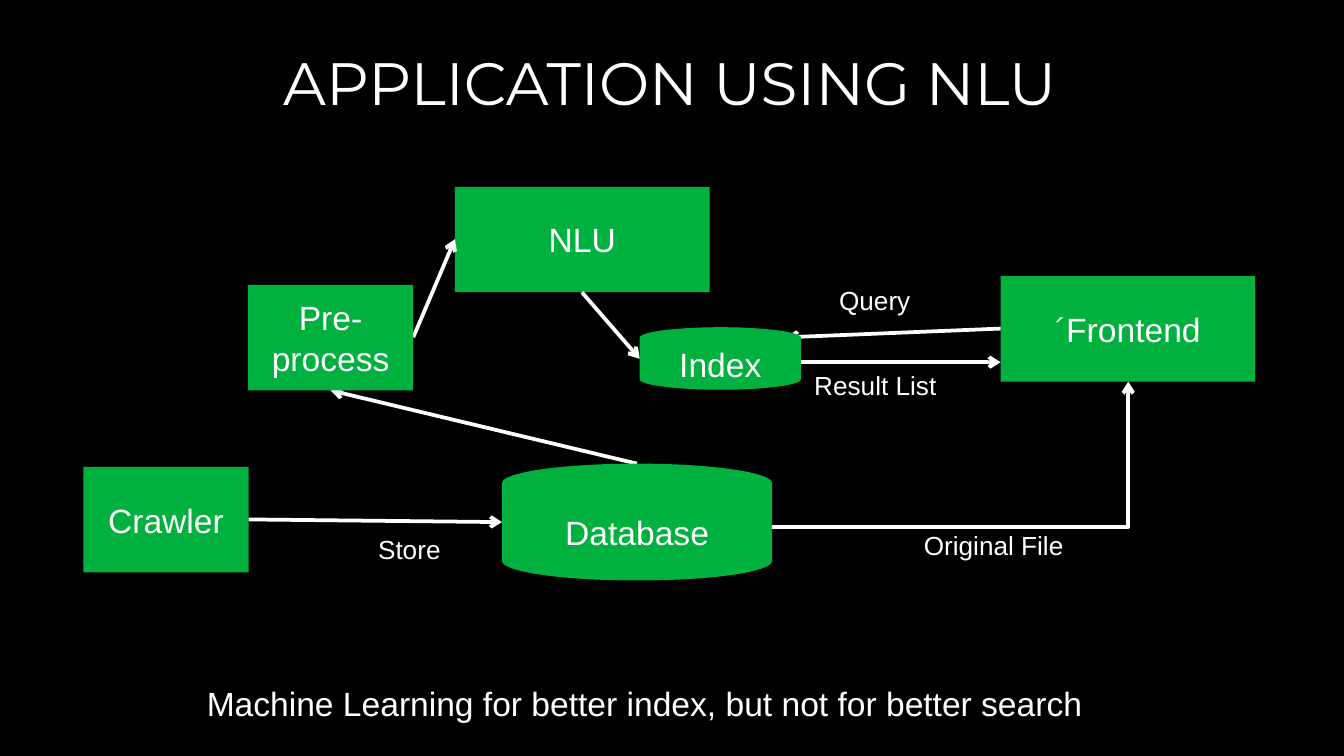
from lxml import etree
from pptx import Presentation
from pptx import util as u
from pptx.dml.color import RGBColor
from pptx.enum import shapes, text
from pptx.oxml.ns import qn

PX = 4572
BLACK = RGBColor(0x00, 0x00, 0x00)
WHITE = RGBColor(0xFF, 0xFF, 0xFF)
GREEN = RGBColor(0x00, 0xB1, 0x3F)

RECTANGLE = shapes.MSO_SHAPE.RECTANGLE
DISK = shapes.MSO_SHAPE.FLOWCHART_MAGNETIC_DISK
STRAIGHT = shapes.MSO_CONNECTOR.STRAIGHT
ELBOW = shapes.MSO_CONNECTOR.ELBOW

BACK_NODES = [
    ("Crawler", RECTANGLE, (0, 417, 246, 157)),
    ("NLU", RECTANGLE, (553, 0, 379, 157)),
    ("´Frontend", RECTANGLE, (1365, 133, 379, 157)),
]
FRONT_NODES = [
    ("Database", DISK, (623, 412, 402, 174)),
    ("Index", DISK, (828, 209, 240, 93)),
    ("Pre-process", RECTANGLE, (245, 146, 246, 157)),
]
ARROWS = [
    (STRAIGHT, (246, 495), (623, 499)),
    (STRAIGHT, (824, 412), (368, 303)),
    (STRAIGHT, (491, 224), (553, 78)),
    (STRAIGHT, (742, 157), (828, 256)),
    (STRAIGHT, (1365, 211), (1046, 224)),
    (STRAIGHT, (1002, 261), (1365, 261)),
    (ELBOW, (1025, 506), (1555, 290)),
]
LABELS = [
    ("Store", (419, 506, 134, 68)),
    ("Query", (1105, 136, 146, 68)),
    ("Result List", (1068, 262, 232, 68)),
    ("Original File", (1231, 500, 324, 68)),
]


def to_emu(box, origin=(0, 0)):
    """Turn a px box, relative to an origin, into EMU lengths."""
    left, top, width, height = box
    return [value * PX for value in (left + origin[0], top + origin[1], width, height)]


def write(shape, wording, size, font="Arial"):
    """Set the text of a shape in white and return its paragraph."""
    shape.text_frame.text = wording
    paragraph = shape.text_frame.paragraphs[0]
    for run in paragraph.runs:
        run.font.size = u.Pt(size)
        run.font.name = font
        run.font.color.rgb = WHITE
    return paragraph


def add_text(slide, wording, box, size, wrap=True, font="Arial"):
    """Add a text box and return it."""
    shape = slide.shapes.add_textbox(*to_emu(box))
    write(shape, wording, size, font)
    shape.text_frame.word_wrap = wrap
    return shape


def add_node(slide, origin, wording, kind, box):
    """Add a green block with centred text."""
    shape = slide.shapes.add_shape(kind, *to_emu(box, origin))
    shape.shadow.inherit = False
    shape.fill.solid()
    shape.fill.fore_color.rgb = GREEN
    shape.line.fill.background()
    shape.text_frame.vertical_anchor = text.MSO_ANCHOR.MIDDLE
    write(shape, wording, 18).alignment = text.PP_ALIGN.CENTER


def add_arrow(slide, origin, kind, start, end):
    """Add a white arrow, straight or with a single bend."""
    points = [(x + origin[0], y + origin[1]) for x, y in (start, end)]
    arrow = slide.shapes.add_connector(kind, *[value * PX for point in points for value in point])
    arrow.line.color.rgb = WHITE
    arrow.line.width = u.Pt(2)
    properties = arrow._element.spPr
    etree.SubElement(properties.find(qn("a:ln")), qn("a:tailEnd"), type="arrow")
    etree.SubElement(properties, qn("a:effectLst"))
    if kind == ELBOW:
        properties.find(qn("a:prstGeom")).set("prst", "bentConnector2")


def add_title(slide, box):
    """Add the centred slide title."""
    shape = add_text(slide, "APPLICATION USING NLU", box, 32, font="Montserrat")
    frame = shape.text_frame
    frame.margin_left = frame.margin_right = frame.margin_top = frame.margin_bottom = 0
    paragraph = frame.paragraphs[0]
    paragraph.alignment = text.PP_ALIGN.CENTER
    paragraph.line_spacing = 0.8


def add_diagram(slide, origin):
    """Add the data flow from crawler to frontend."""
    for node in BACK_NODES:
        add_node(slide, origin, *node)
    for arrow in ARROWS:
        add_arrow(slide, origin, *arrow)
    for node in FRONT_NODES:
        add_node(slide, origin, *node)
    for wording, (left, top, width, height) in LABELS:
        add_text(slide, wording, (left + origin[0], top + origin[1], width, height), 14)


def add_conclusion(slide, box):
    """Add the closing sentence."""
    add_text(slide, "Machine Learning for better index, but not for better search", box, 18, wrap=False)


def main():
    """Build and save the presentation."""
    presentation = Presentation()
    presentation.slide_width = 2000 * PX
    presentation.slide_height = 1125 * PX
    slide = presentation.slides.add_slide(presentation.slide_layouts[6])
    slide.background.fill.solid()
    slide.background.fill.fore_color.rgb = BLACK
    add_title(slide, (126, 89, 1742, 58))
    add_diagram(slide, (124, 278))
    add_conclusion(slide, (288, 1007, 1356, 80))
    presentation.save("out.pptx")


if __name__ == "__main__":
    main()
